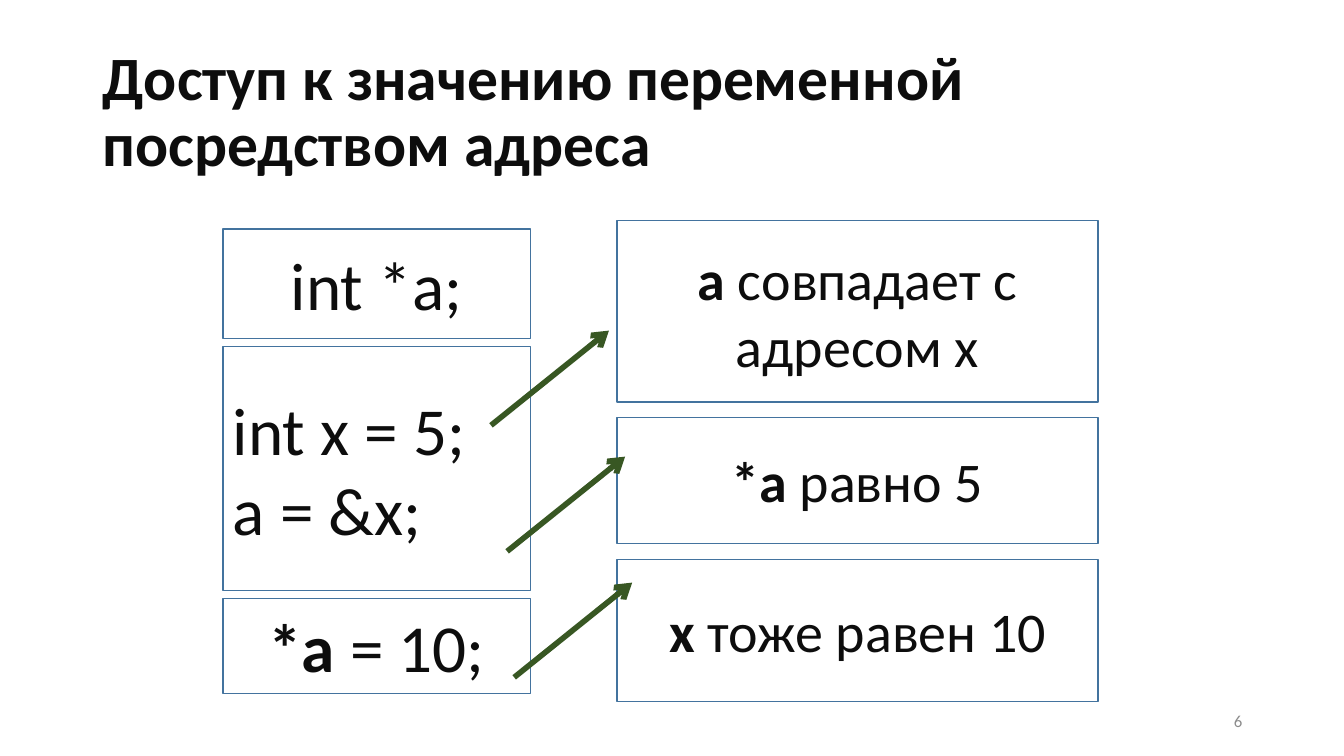
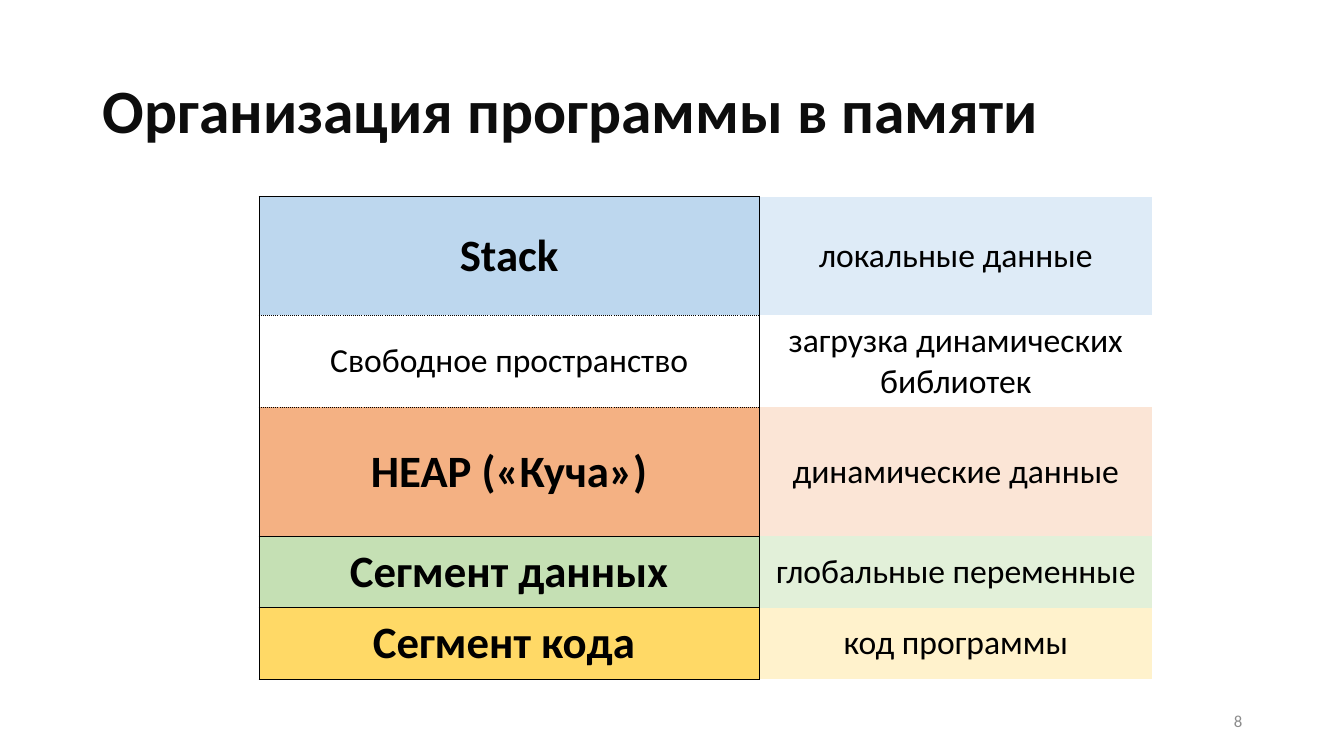
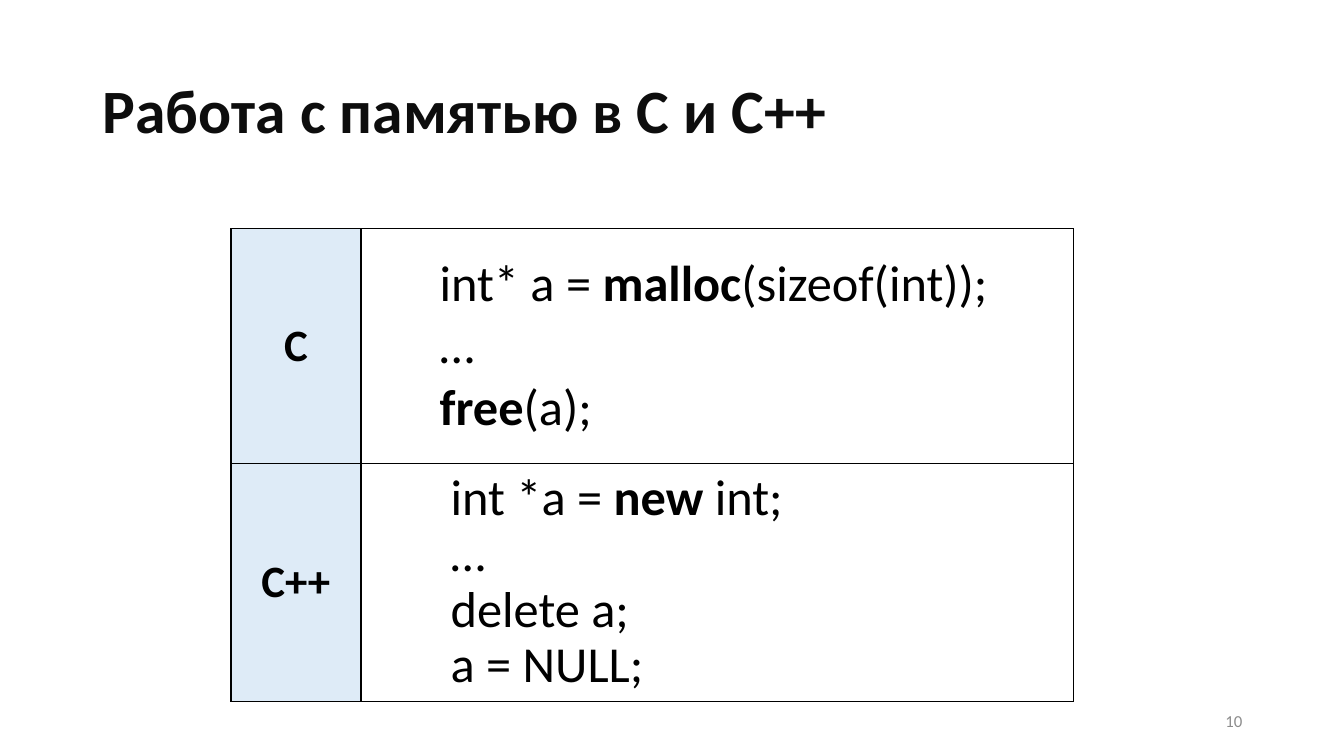
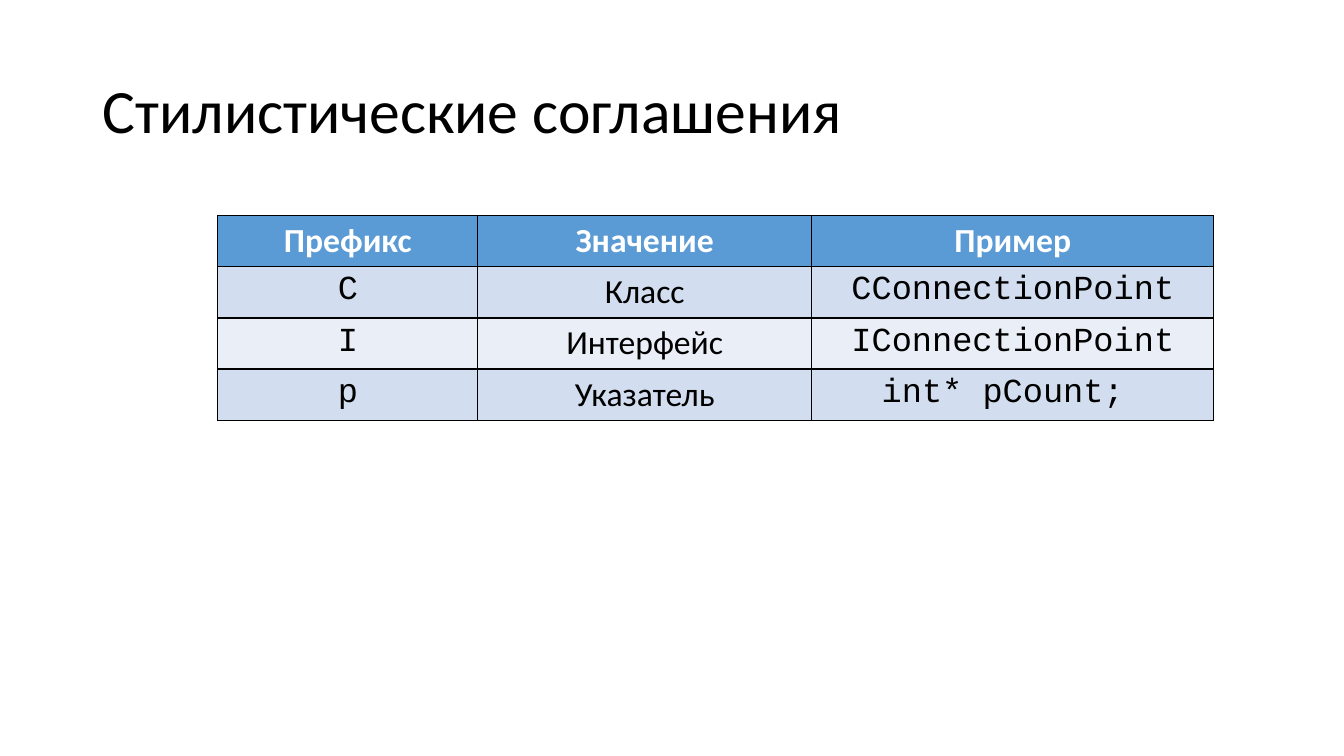
from lxml.etree import SubElement
from pptx import Presentation
from pptx.dml.color import RGBColor
from pptx.enum.shapes import MSO_CONNECTOR, MSO_SHAPE
from pptx.enum.text import MSO_ANCHOR, MSO_AUTO_SIZE, PP_ALIGN
from pptx.oxml.ns import qn
from pptx.util import Inches, Pt

COLORS = {
    "title": "0D0D0D", "black": "000000", "white": "FFFFFF", "number": "8C8C8C",
    "outline": "43739E", "arrow": "385723", "header": "5B9BD5",
    "band": "D2DEEF", "light band": "EAEFF7",
    "stack": "BDD7EE", "pale stack": "DEEBF7",
    "heap": "F4B183", "pale heap": "FBE5D6",
    "data": "C5E0B4", "pale data": "E2F0D9",
    "code": "FFD966", "pale code": "FFF2CC",
}
COLORS = {name: RGBColor.from_string(value) for name, value in COLORS.items()}
NO_STYLE = "{2D5ABB26-0587-4C30-8999-92F81FD0307C}"


def write(frame, lines, size, color="black", align=PP_ALIGN.CENTER,
          font="Calibri", spacing=None, anchor=MSO_ANCHOR.MIDDLE):
    frame.word_wrap = True
    frame.vertical_anchor = anchor
    for index, spans in enumerate(lines):
        para = frame.add_paragraph() if index else frame.paragraphs[0]
        para.alignment = align
        para.line_spacing = spacing
        for text, bold in spans:
            span = para.add_run()
            span.text = text
            span.font.name = font
            span.font.size = Pt(size)
            span.font.bold = bold
            span.font.color.rgb = COLORS[color]


def style_cell(cell, fill, borders):
    properties = cell._tc.get_or_add_tcPr()
    for side in "LRTB":
        if side in borders:
            line = SubElement(properties, qn("a:ln" + side), w=str(Pt(1)))
            paint = SubElement(line, qn("a:solidFill"))
            SubElement(paint, qn("a:srgbClr"), val=str(COLORS["black"]))
            SubElement(line, qn("a:prstDash"), val=borders[side])
    cell.fill.solid()
    cell.fill.fore_color.rgb = COLORS[fill]


deck = Presentation()
deck.slide_width = Inches(13.33)
deck.slide_height = Inches(7.5)

headings = [
    ("Доступ к значению переменной посредством адреса", True, "title", "6"),
    ("Организация программы в памяти", True, "title", "8"),
    ("Работа с памятью в C и C++", True, "title", "10"),
    ("Стилистические соглашения", False, "black", None),
]
pages = []
for heading, bold, color, number in headings:
    page = deck.slides.add_slide(deck.slide_layouts[5])
    title = page.shapes.title
    title.left, title.top = Inches(0.92), Inches(0.4)
    title.width, title.height = Inches(11.5), Inches(1.45)
    title.text_frame.auto_size = MSO_AUTO_SIZE.NONE
    write(title.text_frame, [[(heading, bold)]], 44, color, PP_ALIGN.LEFT, spacing=0.9)
    if number:
        box = page.shapes.add_textbox(Inches(9.42), Inches(6.95), Inches(3), Inches(0.4))
        write(box.text_frame, [[(number, False)]], 12, "number", PP_ALIGN.RIGHT)
    pages.append(page)
access_page, memory_page, language_page, style_page = pages

CENTER, LEFT = PP_ALIGN.CENTER, PP_ALIGN.LEFT
columns = [
    (2.21, 3.05, 48, [
        (2.27, 1.09, CENTER, [[("int *a;", False)]]),
        (3.44, 2.42, LEFT, [[("int x = 5;", False)], [("a = &x;", False)]]),
        (5.94, 0.94, CENTER, [[("*a ", True), ("= 10;", False)]]),
    ]),
    (6.12, 4.77, 40, [
        (2.19, 1.8, CENTER, [[("a ", True), ("совпадает с адресом x", False)]]),
        (4.14, 1.25, CENTER, [[("*a ", True), ("равно 5", False)]]),
        (5.55, 1.41, CENTER, [[("x ", True), ("тоже равен 10", False)]]),
    ]),
]
for left, width, size, boxes in columns:
    for top, height, align, lines in boxes:
        box = access_page.shapes.add_shape(
            MSO_SHAPE.RECTANGLE, Inches(left), Inches(top), Inches(width), Inches(height))
        box.shadow.inherit = False
        box.fill.solid()
        box.fill.fore_color.rgb = COLORS["white"]
        box.line.color.rgb = COLORS["outline"]
        box.line.width = Pt(1)
        write(box.text_frame, lines, size, "title", align)

for left, bottom in [(4.87, 4.22), (5.03, 5.47), (5.1, 6.72)]:
    arrow = access_page.shapes.add_connector(
        MSO_CONNECTOR.STRAIGHT, Inches(left), Inches(bottom),
        Inches(left + 1.17), Inches(bottom - 0.94))
    arrow.line.color.rgb = COLORS["arrow"]
    arrow.line.width = Pt(4)
    SubElement(arrow.line._get_or_add_ln(), qn("a:tailEnd"), type="arrow")
    SubElement(arrow._element.spPr, qn("a:effectLst"))

grids = []
for page, left, top, widths, heights in [
    (memory_page, 2.57, 1.95, [4.96, 3.9], [1.18, 0.91, 1.28, 0.71, 0.71]),
    (language_page, 2.29, 2.27, [1.29, 7.07], [2.33, 2.36]),
    (style_page, 2.16, 2.14, [2.58, 3.31, 3.99], [0.5] * 4),
]:
    frame = page.shapes.add_table(
        len(heights), len(widths), Inches(left), Inches(top),
        Inches(sum(widths)), Inches(sum(heights)))
    grid = frame.table
    grid.first_row = grid.horz_banding = False
    grid._tbl.tblPr.find(qn("a:tableStyleId")).text = NO_STYLE
    for column, width in zip(grid.columns, widths):
        column.width = Inches(width)
    for row, height in zip(grid.rows, heights):
        row.height = Inches(height)
    grids.append(grid)
memory_grid, language_grid, style_grid = grids

segments = [
    ("Stack", "локальные данные", "stack", "pale stack", "solid", "sysDot"),
    ("Свободное пространство", "загрузка динамических библиотек",
     "white", "white", "sysDot", "sysDot"),
    ("HEAP («Куча»)", "динамические данные", "heap", "pale heap", "sysDot", "solid"),
    ("Сегмент данных", "глобальные переменные", "data", "pale data", "solid", "solid"),
    ("Сегмент кода ", "код программы", "code", "pale code", "solid", "solid"),
]
for index, (name, content, fill, pale, above, below) in enumerate(segments):
    segment, detail = memory_grid.cell(index, 0), memory_grid.cell(index, 1)
    style_cell(segment, fill, {"L": "solid", "R": "solid", "T": above, "B": below})
    style_cell(detail, pale, {"L": "solid"})
    named = fill != "white"
    write(segment.text_frame, [[(name, named)]], 32 if named else 24)
    write(detail.text_frame, [[(content, False)]], 24)
    segment.vertical_anchor = detail.vertical_anchor = MSO_ANCHOR.MIDDLE

all_sides = dict.fromkeys("LRTB", "solid")
languages = [
    ("C", 0.78, None, [
        [("int* a = ", False), ("malloc", True), ("(sizeof(int));", False)],
        [("…", False)],
        [("free", True), ("(a);", False)],
    ]),
    ("C++", 0.89, 0.9, [
        [("int *a = ", False), ("new ", True), ("int;", False)],
        [("…", False)],
        [("delete a;", False)],
        [("a = NULL;", False)],
    ]),
]
for index, (language, indent, spacing, lines) in enumerate(languages):
    name, code = language_grid.cell(index, 0), language_grid.cell(index, 1)
    style_cell(name, "pale stack", all_sides)
    style_cell(code, "white", all_sides)
    write(name.text_frame, [[(language, True)]], 32)
    write(code.text_frame, lines, 36, align=LEFT, spacing=spacing)
    code.margin_left = Inches(indent)
    name.vertical_anchor = code.vertical_anchor = MSO_ANCHOR.MIDDLE

conventions = [
    ("Префикс", "Значение", "Пример"),
    ("C", "Класс", "CConnectionPoint"),
    ("I", "Интерфейс", "IConnectionPoint"),
    ("p", "Указатель", "int* pCount; "),
]
for index, texts in enumerate(conventions):
    header = index == 0
    fill = "header" if header else "band" if index % 2 else "light band"
    for position, text in enumerate(texts):
        cell = style_grid.cell(index, position)
        style_cell(cell, fill, all_sides)
        write(cell.text_frame, [[(text, header)]], 24, "white" if header else "black",
              font="Calibri" if header or position == 1 else "Courier New",
              anchor=MSO_ANCHOR.TOP)

deck.save("out.pptx")
